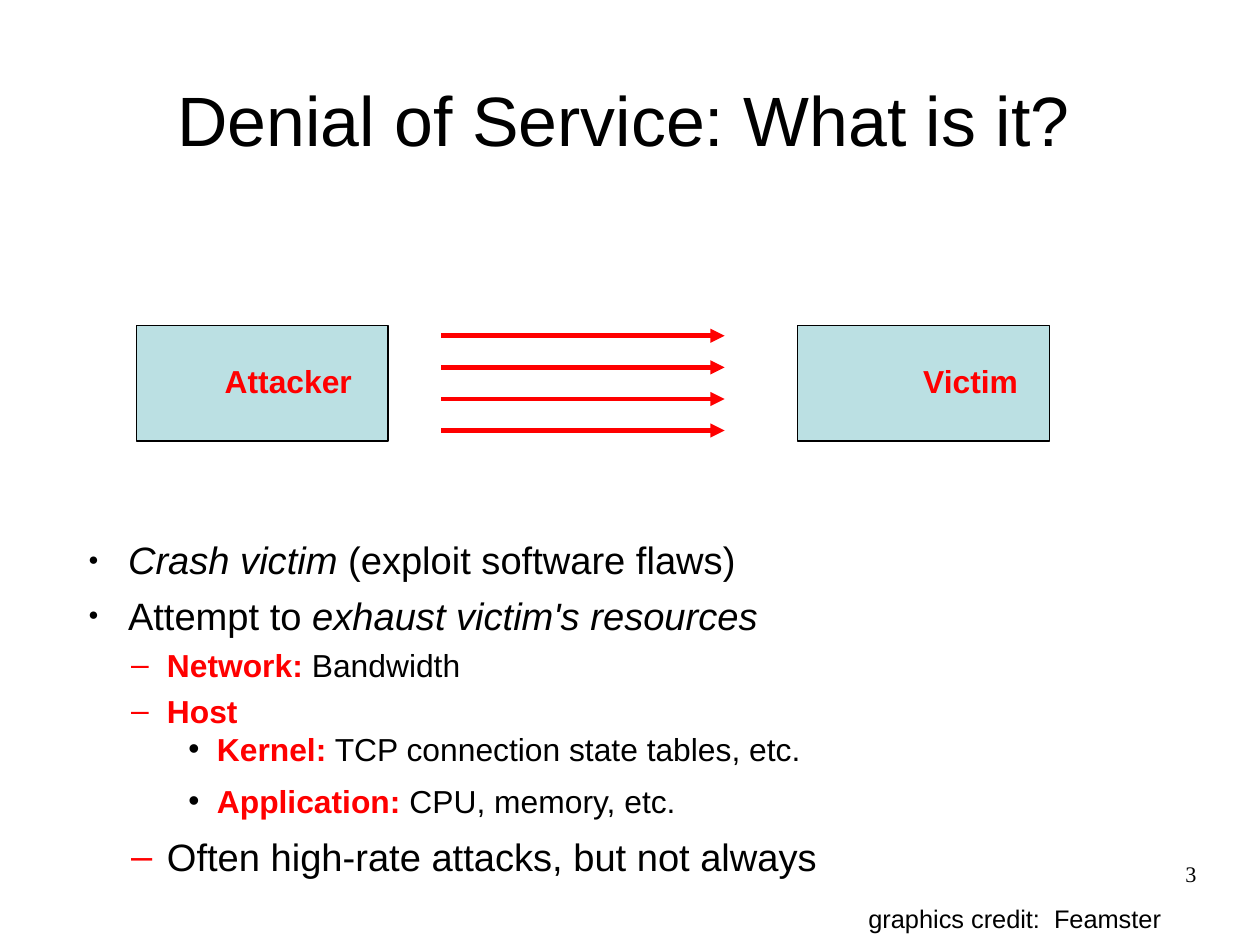
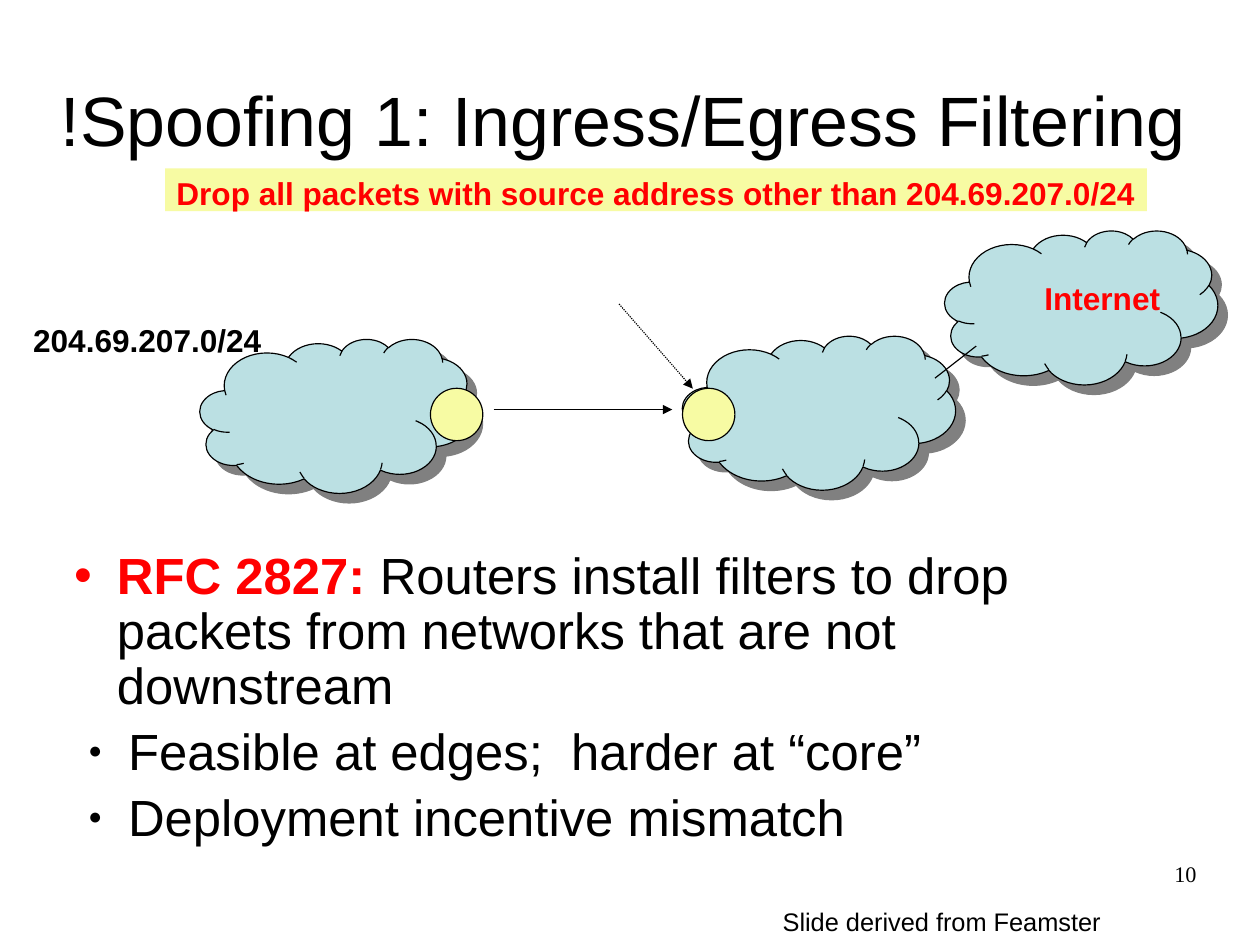
"""Build two slides on denial of service and on spoofing filters."""
from lxml.etree import SubElement
from pptx import Presentation
from pptx.dml.color import RGBColor
from pptx.enum.dml import MSO_LINE
from pptx.enum.shapes import MSO_CONNECTOR, MSO_SHAPE
from pptx.enum.text import MSO_ANCHOR, PP_ALIGN
from pptx.oxml.ns import qn
from pptx.util import Pt

BLACK = RGBColor(0x00, 0x00, 0x00)
RED = RGBColor(0xFF, 0x00, 0x00)
BLUE = RGBColor(0xBB, 0xE0, 0xE3)
YELLOW = RGBColor(0xF7, 0xFB, 0xA3)
GREY = RGBColor(0x80, 0x80, 0x80)

PLAIN = {}
ITALIC = {"italic": True}
KEY = {"bold": True, "color": RED}
STRONG = {"bold": True}

LEVELS = {
    "dot": {"left": 34, "hang": 25, "char": "●", "color": BLACK, "scale": 45},
    "lead": {"left": 27, "hang": 27, "char": "•", "color": RED, "scale": 100},
    "dash": {"left": 58.5, "hang": 22.5, "char": "–", "color": RED, "scale": 100},
    "sub": {"left": 90, "hang": 18, "char": "•", "color": BLACK, "scale": 100},
}

ATTACK_POINTS = [
    ("dot", 24, 0, 0, [("Crash victim", ITALIC), (" (exploit software flaws)", PLAIN)]),
    ("dot", 24, 6, 0, [("Attempt to ", PLAIN), ("exhaust victim's resources", ITALIC)]),
    ("dash", 20, 5, 0, [("Network:", KEY), (" Bandwidth", PLAIN)]),
    ("dash", 20, 5, 0, [("Host", KEY)]),
    ("sub", 20, 0, 8.5, [("Kernel:", KEY), (" TCP connection state tables, etc.", PLAIN)]),
    ("sub", 20, 0, 8.5, [("Application:", KEY), (" CPU, memory, etc.", PLAIN)]),
    ("dash", 24, 0, 11.3, [("Often high-rate attacks, but not always", PLAIN)]),
]
FILTER_POINTS = [
    ("lead", 32, 0, 0, [("RFC 2827:", KEY), (
        " Routers install filters to drop packets from networks that are not downstream", PLAIN)]),
    ("dot", 32, 7, 0, [("Feasible at edges;  harder at “core”", PLAIN)]),
    ("dot", 32, 7, 0, [("Deployment incentive mismatch", PLAIN)]),
]
HOSTS = [("Attacker", 86, 134.5, 94.5), ("Victim", 502.5, 574.5, 74.5)]
FLOOD_COUNT, FLOOD_TOP, FLOOD_STEP = 4, 211.5, 19.9
CLOUDS = [(126, 213.5), (430, 211.5), (595.2, 145.2)]
ROUTERS = [(271.2, 244.6), (430, 244.6)]
NETWORK_LABELS = [("204.69.207.0/24", 13.8, 198.5, 164, STRONG),
                  ("Internet", 650.8, 172, 90, KEY)]
BANNER = "Drop all packets with source address other than 204.69.207.0/24"


def add_span(para, text, size, style=PLAIN, face="Arial"):
    span = para.add_run()
    span.text = text
    font = span.font
    font.name, font.size = face, Pt(size)
    font.bold, font.italic = style.get("bold", False), style.get("italic", False)
    font.color.rgb = style.get("color", BLACK)


def set_frame(frame, wrap=True, anchor=MSO_ANCHOR.TOP, inset=True):
    frame.word_wrap, frame.vertical_anchor = wrap, anchor
    frame.margin_left = frame.margin_right = Pt(7.2 if inset else 0)
    frame.margin_top = frame.margin_bottom = Pt(3.6 if inset else 0)


def add_text(page, text, place, size, style=PLAIN, align=PP_ALIGN.LEFT, face="Arial", **frame_options):
    box = page.shapes.add_textbox(*map(Pt, place))
    set_frame(box.text_frame, **frame_options)
    para = box.text_frame.paragraphs[0]
    para.alignment = align
    add_span(para, text, size, style, face)


def set_bullet(para, left, hang, char, color, scale):
    props = para._p.get_or_add_pPr()
    props.set("marL", str(Pt(left)))
    props.set("indent", str(-Pt(hang)))
    SubElement(SubElement(props, qn("a:buClr")), qn("a:srgbClr"), val=str(color))
    SubElement(props, qn("a:buSzPct"), val=str(scale * 1000))
    SubElement(props, qn("a:buFont"), typeface="Arial")
    SubElement(props, qn("a:buChar"), char=char)


def add_points(page, points, place, line_spacing):
    box = page.shapes.add_textbox(*map(Pt, place))
    frame = box.text_frame
    set_frame(frame)
    for index, (level, size, before, after, spans) in enumerate(points):
        para = frame.add_paragraph() if index else frame.paragraphs[0]
        set_bullet(para, **LEVELS[level])
        para.line_spacing = line_spacing
        para.space_before, para.space_after = Pt(before), Pt(after)
        for text, style in spans:
            add_span(para, text, size, style)


def add_block(page, kind, place, fill, outlined=True):
    block = page.shapes.add_shape(kind, *map(Pt, place))
    block.shadow.inherit = False
    block.fill.solid()
    block.fill.fore_color.rgb = fill
    if outlined:
        block.line.color.rgb, block.line.width = BLACK, Pt(0.75)
    else:
        block.line.fill.background()
    return block


def add_cloud(page, left, top):
    cloud = add_block(page, MSO_SHAPE.CLOUD, (left, top, 172, 97), BLUE)
    effects = cloud._element.spPr.find(qn("a:effectLst"))
    shadow = SubElement(effects, qn("a:outerShdw"), blurRad="0", dist=str(Pt(8.5)),
                        dir="2700000", algn="ctr", rotWithShape="0")
    SubElement(shadow, qn("a:srgbClr"), val=str(GREY))


def add_line(page, ends, color=BLACK, width=0.75, arrow=True, dash=None):
    link = page.shapes.add_connector(MSO_CONNECTOR.STRAIGHT, *map(Pt, ends))
    link.line.color.rgb, link.line.width = color, Pt(width)
    if dash:
        link.line.dash_style = dash
    props = link._element.spPr
    if arrow:
        SubElement(props.find(qn("a:ln")), qn("a:tailEnd"), type="triangle")
    SubElement(props, qn("a:effectLst"))


def add_page(deck, title, number, credit, credit_place):
    page = deck.slides.add_slide(deck.slide_layouts[6])
    add_text(page, title, (13.2, 25, 760, 99.5), 44, align=PP_ALIGN.CENTER, anchor=MSO_ANCHOR.MIDDLE)
    add_text(page, credit, credit_place, 16)
    add_text(page, number, (568.8, 542, 185, 41), 14, align=PP_ALIGN.RIGHT,
             face="Times New Roman", inset=False)
    return page


def build_attack(deck):
    page = add_page(deck, "Denial of Service: What is it?", "3",
                    "graphics credit:  Feamster", (540, 565.6, 252, 26.5))
    add_points(page, ATTACK_POINTS, (39.6, 334.6, 714.5, 222.5), 1.0)
    for name, left, label_left, label_width in HOSTS:
        add_block(page, MSO_SHAPE.RECTANGLE, (left, 205, 158.5, 72.8), BLUE)
        add_text(page, name, (label_left, 224.5, label_width, 27.5), 20, KEY, wrap=False)
    for index in range(FLOOD_COUNT):
        level = FLOOD_TOP + index * FLOOD_STEP
        add_line(page, (278, level, 456.5, level), RED, 3)


def build_filtering(deck):
    page = add_page(deck, "!Spoofing 1: Ingress/Egress Filtering", "10",
                    "Slide derived from Feamster", (486, 567, 288, 26.5))
    add_points(page, FILTER_POINTS, (39.6, 343.2, 714.5, 252), 0.9)
    for left, top in CLOUDS:
        add_cloud(page, left, top)
    for left, top in ROUTERS:
        add_block(page, MSO_SHAPE.OVAL, (left, top, 33, 33), YELLOW)
    for text, left, top, width, style in NETWORK_LABELS:
        add_text(page, text, (left, top, width, 27.5), 19.9, style, wrap=False)
    add_line(page, (311, 258, 423.5, 258))
    add_line(page, (589, 238.2, 615, 218), arrow=False)
    add_line(page, (390, 191.5, 436.5, 244.8), dash=MSO_LINE.ROUND_DOT)
    banner = add_block(page, MSO_SHAPE.RECTANGLE, (104, 106, 618.5, 27), YELLOW, outlined=False)
    set_frame(banner.text_frame, wrap=False)
    para = banner.text_frame.paragraphs[0]
    para.alignment = PP_ALIGN.LEFT
    add_span(para, BANNER, 19.9, KEY)


def main():
    deck = Presentation()
    deck.slide_width, deck.slide_height = Pt(793.75), Pt(595.25)
    build_attack(deck)
    build_filtering(deck)
    deck.save("out.pptx")


if __name__ == "__main__":
    main()
